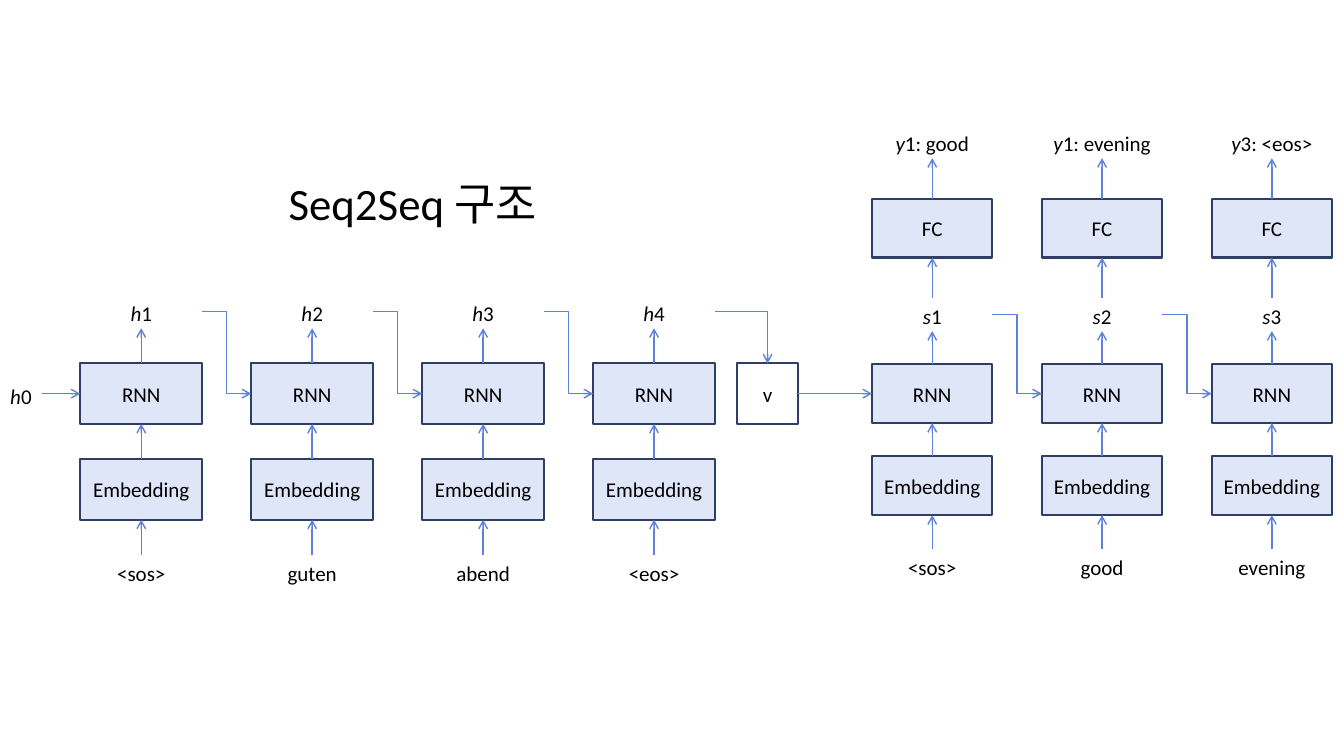
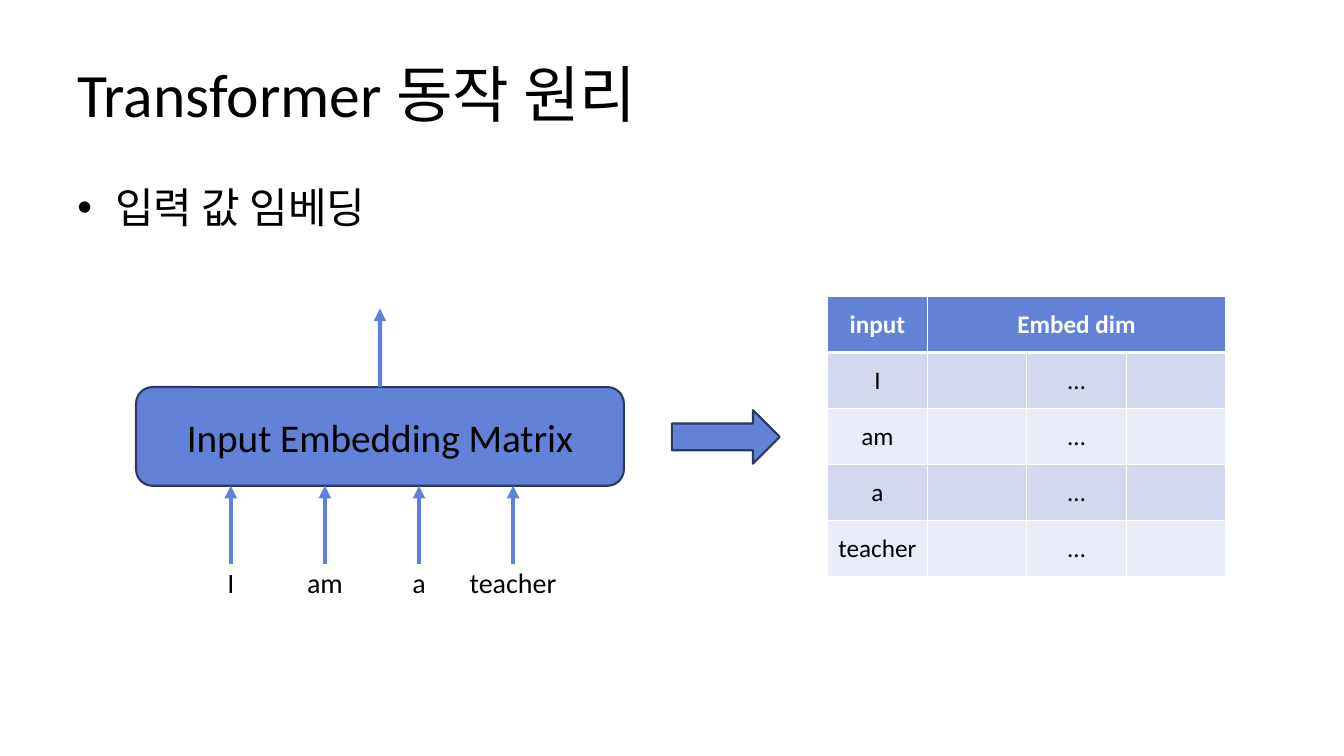
from lxml import etree
from pptx import Presentation
from pptx.dml.color import RGBColor
from pptx.enum import shapes, text
from pptx.oxml import ns
from pptx.util import Pt

BLACK = RGBColor(0x00, 0x00, 0x00)
WHITE = RGBColor(0xFF, 0xFF, 0xFF)
PALE = RGBColor(0xDF, 0xE6, 0xF7)
NAVY = RGBColor(0x2E, 0x3E, 0x67)
DARK = RGBColor(0x2B, 0x39, 0x5E)
BLUE = RGBColor(0x61, 0x82, 0xD6)
ARROW = RGBColor(0x5E, 0x81, 0xD9)
BANDS = [RGBColor(0xD2, 0xD8, 0xF0), RGBColor(0xEA, 0xED, 0xF7)]
FONT = "Calibri"
TOP, LEFT, BOTTOM, RIGHT = range(4)
KIND = shapes.MSO_SHAPE
MID = text.MSO_ANCHOR.MIDDLE
CENTER = text.PP_ALIGN.CENTER

ENCODER = dict(
    words=["<sos>", "guten", "abend", "<eos>"], state="h", outs=[],
    left=57.4, step=122.1, wide=87, high=43.2,
    rows=dict(state=211, rnn=259.6, embed=328, word=396.5))
DECODER = dict(
    words=["<sos>", "good", "evening"], state="s",
    outs=["y1: good", "y1: evening", "y3: <eos>"],
    left=622.9, step=121.3, wide=86, high=42,
    rows=dict(out=89.5, fc=142, state=213, rnn=260.2, embed=326, word=392.4))
LABEL = 23.5

TOKENS = ["I", "am", "a", "teacher"]
HEADS = ["input", "Embed dim", "", ""]
ROWS = [[token, "", "…", ""] for token in TOKENS]


def put(obj, **values):
    for name, value in values.items():
        setattr(obj, name, value)


def write(frame, words, size, color=BLACK, align=CENTER, bold=False, lead=0):
    """Fill a text frame; the first `lead` letters are italic."""
    para = frame.paragraphs[0]
    para.alignment = align
    for part, slant in ((words[:lead], True), (words[lead:], False)):
        if part:
            run = para.add_run()
            run.text = part
            put(run.font, name=FONT, size=Pt(size), bold=bold, italic=slant)
            run.font.color.rgb = color
    return para


def place(shape, *spot):
    put(shape, **dict(zip(("left", "top", "width", "height"), map(Pt, spot))))


def head(shape, words, size, spot, align):
    place(shape, *spot)
    put(shape.text_frame, auto_size=text.MSO_AUTO_SIZE.NONE, word_wrap=True)
    return write(shape.text_frame, words, size, align=align)


def box(slide, spot, words="", size=15, kind=KIND.RECTANGLE, fill=PALE, edge=NAVY):
    shape = slide.shapes.add_shape(kind, *map(Pt, spot))
    shape.shadow.inherit = False
    shape.fill.solid()
    shape.fill.fore_color.rgb = fill
    shape.line.color.rgb = edge
    shape.line.width = Pt(1.5)
    put(shape.text_frame, vertical_anchor=MID, word_wrap=True)
    write(shape.text_frame, words, size)
    return shape


def label(slide, spot, words, size=15, lead=0):
    shape = slide.shapes.add_textbox(*map(Pt, spot))
    put(shape.text_frame, word_wrap=True, margin_left=0, margin_right=0,
        margin_bottom=0)
    write(shape.text_frame, words, size, lead=lead)
    return shape


def arrow(slide, ends=(0, 0, 0, 0), start=None, stop=None, bend=None,
          width=1, tip="arrow"):
    """Draw an arrow; start and stop are (shape, side) pairs to join."""
    kinds = shapes.MSO_CONNECTOR
    line = slide.shapes.add_connector(
        kinds.ELBOW if bend else kinds.STRAIGHT, *map(Pt, ends))
    if start:
        line.begin_connect(*start)
    if stop:
        line.end_connect(*stop)
    line.line.color.rgb = ARROW
    line.line.width = Pt(width)
    props = line._element.spPr
    if bend:
        props.find(ns.qn("a:prstGeom")).set("prst", bend)
    etree.SubElement(props.find(ns.qn("a:ln")), ns.qn("a:tailEnd"), type=tip)
    etree.SubElement(props, ns.qn("a:effectLst"))


def chain(slide, part):
    """Draw one unrolled network; return its first RNN and last state."""
    rnns, states = [], []
    rows = part["rows"]
    for i, word in enumerate(part["words"]):
        x = part["left"] + i * part["step"]

        def spot(row, high):
            return x, rows[row], part["wide"], high

        stack = [
            label(slide, spot("word", LABEL), word),
            box(slide, spot("embed", part["high"]), "Embedding"),
            box(slide, spot("rnn", part["high"]), "RNN"),
            label(slide, spot("state", LABEL), f"{part['state']}{i + 1}", lead=1)]
        if part["outs"]:
            stack += [
                box(slide, spot("fc", part["high"]), "FC"),
                label(slide, spot("out", LABEL), part["outs"][i], lead=1)]
        for low, high in zip(stack, stack[1:]):
            arrow(slide, start=(low, TOP), stop=(high, BOTTOM))
        if states:
            arrow(slide, start=(states[-1], RIGHT), stop=(stack[2], LEFT),
                  bend="bentConnector3")
        rnns.append(stack[2])
        states.append(stack[3])
    return rnns[0], states[-1]


def border(cell, **widths):
    props = cell._tc.get_or_add_tcPr()
    for side in "LRTB":
        line = etree.SubElement(props, ns.qn(f"a:ln{side}"),
                                w=str(Pt(widths.get(side, 1))))
        fill = etree.SubElement(line, ns.qn("a:solidFill"))
        etree.SubElement(fill, ns.qn("a:srgbClr"), val=str(WHITE))


def grid(slide):
    rows = [HEADS] + ROWS
    table = slide.shapes.add_table(
        len(rows), len(HEADS), *map(Pt, (591.2, 211.8, 284.4, 200))).table
    for r, row in enumerate(rows):
        for c, words in enumerate(row):
            cell = table.cell(r, c)
            border(cell, **{0: {"B": 3}, 1: {"T": 3}}.get(r, {}))
            cell.fill.solid()
            cell.fill.fore_color.rgb = BANDS[(r - 1) % 2] if r else BLUE
            put(cell, vertical_anchor=MID, margin_left=0, margin_right=0)
            write(cell.text_frame, words, 18, BLACK if r else WHITE, bold=not r)
    table.cell(0, 1).merge(table.cell(0, 3))


def network(deck):
    slide = deck.slides.add_slide(deck.slide_layouts[5])
    head(slide.shapes.title, "Seq2Seq 구조", 32, (158.4, 121.7, 273, 45.4), CENTER)
    first, last = chain(slide, ENCODER)
    start, _ = chain(slide, DECODER)
    seed = label(slide, (0, 270.7, 30, 21), "h0", lead=1)
    vector = box(slide, (526.6, 259.6, 43.4, 43.2), "v", fill=WHITE)
    arrow(slide, start=(seed, RIGHT), stop=(first, LEFT))
    arrow(slide, start=(last, RIGHT), stop=(vector, TOP), bend="bentConnector2")
    arrow(slide, start=(vector, RIGHT), stop=(start, LEFT))


def embedding(deck):
    slide = deck.slides.add_slide(deck.slide_layouts[1])
    left = text.PP_ALIGN.LEFT
    head(slide.shapes.title, "Transformer 동작 원리", 44, (48, 21.6, 864, 90), left)
    head(slide.placeholders[1], "입력 값 임베딩", 30, (48, 126, 864, 356.4), left)
    matrix = box(slide, (97.2, 276.5, 348.5, 70.5), "Input Embedding Matrix", 28,
                 KIND.ROUNDED_RECTANGLE, BLUE, DARK)
    thick = dict(width=3, tip="triangle")
    arrow(slide, (271.4, 276.5, 271.4, 220.3), start=(matrix, TOP), **thick)
    for i, token in enumerate(TOKENS):
        x = 164.9 + i * 67.2
        arrow(slide, (x, 403.2, x, 347), **thick)
        label(slide, (x - 46, 400.3, 92, 31.5), token, 20)
    grid(slide)
    box(slide, (480, 293, 77, 38.2), kind=KIND.RIGHT_ARROW, fill=BLUE, edge=DARK)


def main():
    deck = Presentation()
    put(deck, slide_width=Pt(960), slide_height=Pt(540))
    network(deck)
    embedding(deck)
    deck.save("out.pptx")


if __name__ == "__main__":
    main()
